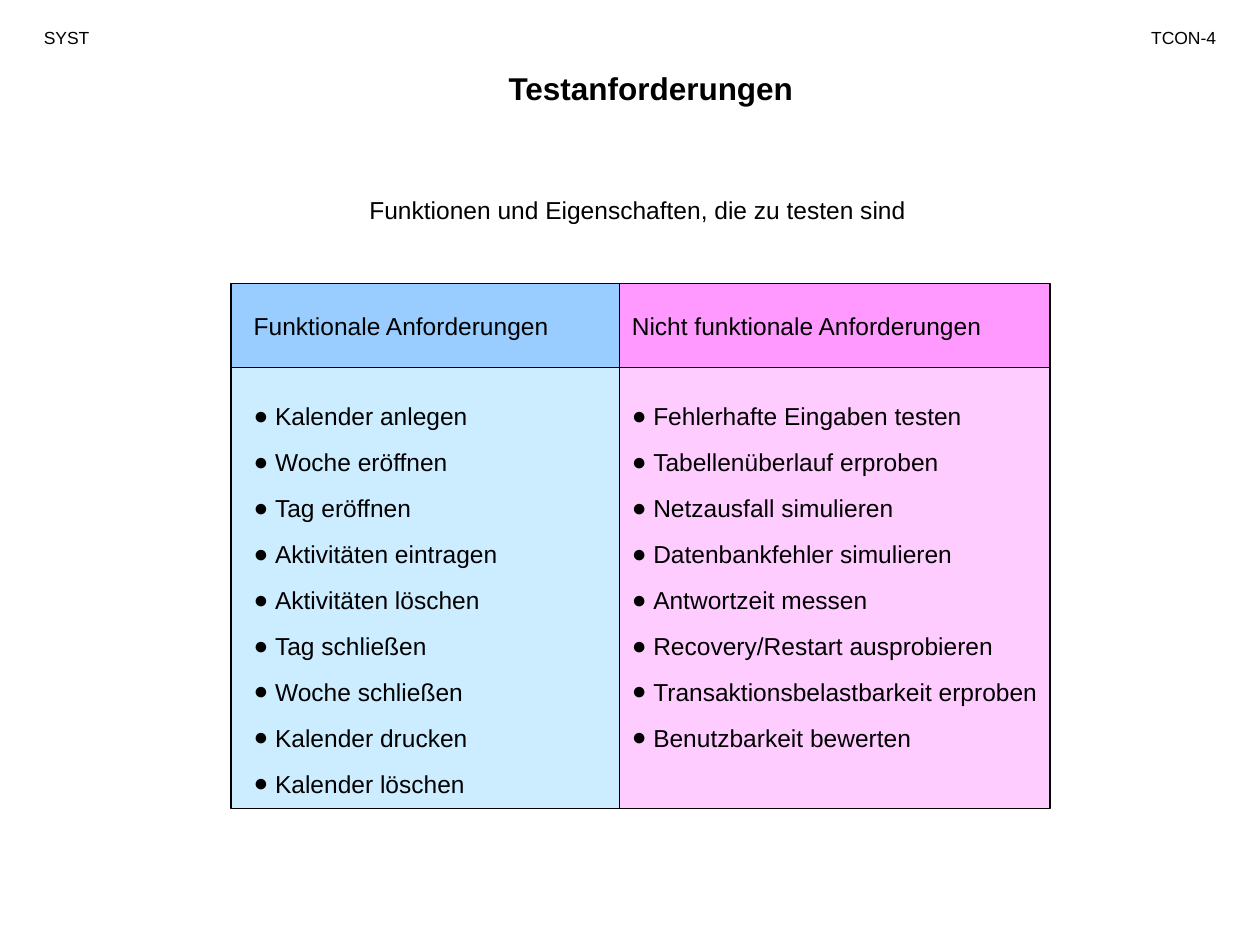
from lxml import etree
from pptx import Presentation
from pptx import util as u
from pptx.dml.color import RGBColor
from pptx.enum import shapes, text
from pptx.oxml.ns import qn

WIDTH, HEIGHT = u.Inches(10), u.Inches(7.5)
COLUMNS, ROWS = 120, 90
FONT = "Arial"
BLACK = RGBColor(0x00, 0x00, 0x00)
BLUE, PALE_BLUE = RGBColor(0x99, 0xCC, 0xFF), RGBColor(0xCC, 0xEC, 0xFF)
PINK, PALE_PINK = RGBColor(0xFF, 0x99, 0xFF), RGBColor(0xFF, 0xCC, 0xFF)
HEADER_ROWS = 8

FUNCTIONAL = [
    "Kalender anlegen", "Woche eröffnen", "Tag eröffnen",
    "Aktivitäten eintragen", "Aktivitäten löschen", "Tag schließen",
    "Woche schließen", "Kalender drucken", "Kalender löschen",
]
NON_FUNCTIONAL = [
    "Fehlerhafte Eingaben testen", "Tabellenüberlauf erproben",
    "Netzausfall simulieren", "Datenbankfehler simulieren",
    "Antwortzeit messen", "Recovery/Restart ausprobieren",
    "Transaktionsbelastbarkeit erproben", "Benutzbarkeit bewerten",
]


def grid(left, top, width, height):
    """Turn columns and rows into slide lengths."""
    return (WIDTH * left // COLUMNS, HEIGHT * top // ROWS,
            WIDTH * width // COLUMNS, HEIGHT * height // ROWS)


def write(box, lines, size, align=text.PP_ALIGN.LEFT, bold=False):
    """Fill a box with formatted paragraphs."""
    frame = box.text_frame
    frame.word_wrap = True
    frame.auto_size = text.MSO_AUTO_SIZE.NONE
    frame.text = "\n".join(lines)
    for para in frame.paragraphs:
        para.alignment = align
        for span in para.runs:
            span.font.name, span.font.size = FONT, u.Pt(size)
            span.font.bold, span.font.color.rgb = bold, BLACK
    return frame


def add_bullets(frame):
    """Give each paragraph a hanging bullet and an even gap above."""
    for index, para in enumerate(frame.paragraphs):
        para.space_before = u.Pt(9.4 if index else 0)
        properties = para._p.get_or_add_pPr()
        properties.set("marL", str(u.Inches(0.17)))
        properties.set("indent", str(-u.Inches(0.17)))
        etree.SubElement(properties, qn("a:buFont")).set("typeface", FONT)
        etree.SubElement(properties, qn("a:buChar")).set("char", "●")


def add_title(page, area, words):
    """Place the slide title."""
    title = page.shapes.title
    title.left, title.top, title.width, title.height = grid(*area)
    frame = write(title, [words], 18, text.PP_ALIGN.CENTER, True)
    frame.vertical_anchor = text.MSO_ANCHOR.TOP


def add_label(page, area, words, size, align=text.PP_ALIGN.LEFT):
    """Place a single line of text."""
    write(page.shapes.add_textbox(*grid(*area)), [words], size, align)


def add_cell(page, area, lines, fill, inset):
    """Draw an outlined cell with text and return its frame."""
    cell = page.shapes.add_shape(shapes.MSO_SHAPE.RECTANGLE, *grid(*area))
    cell.shadow.inherit = False
    cell.fill.solid()
    cell.fill.fore_color.rgb = fill
    cell.line.color.rgb, cell.line.width = BLACK, u.Pt(0.75)
    frame = write(cell, lines, 14)
    frame.margin_left, frame.margin_right = u.Inches(inset), u.Inches(0.05)
    frame.vertical_anchor = text.MSO_ANCHOR.MIDDLE
    return frame


def add_requirements(page, area, heading, items, fills, inset):
    """Build a headed column of requirements."""
    left, top, width, height = area
    body = (left, top + HEADER_ROWS, width, height - HEADER_ROWS)
    frame = add_cell(page, body, items, fills[1], inset)
    frame.vertical_anchor = text.MSO_ANCHOR.TOP
    frame.margin_top = u.Inches(0.27)
    add_bullets(frame)
    add_cell(page, (left, top, width, HEADER_ROWS), [heading], fills[0], inset)


def main():
    """Build and save the deck."""
    deck = Presentation()
    deck.slide_width, deck.slide_height = WIDTH, HEIGHT
    page = deck.slides.add_slide(deck.slide_layouts.get_by_name("Title Only"))
    add_title(page, (26, 6, 72, 5), "Testanforderungen")
    add_label(page, (3, 2, 11, 3), "SYST", 10)
    add_label(page, (106, 2, 11, 3), "TCON-4", 10, text.PP_ALIGN.RIGHT)
    add_label(page, (34, 18, 54, 4),
              "Funktionen und Eigenschaften, die zu testen sind", 14)
    add_requirements(page, (59, 27, 41, 50), "Nicht funktionale Anforderungen",
                     NON_FUNCTIONAL, (PINK, PALE_PINK), 0.1)
    add_requirements(page, (22, 27, 37, 50), "Funktionale Anforderungen",
                     FUNCTIONAL, (BLUE, PALE_BLUE), 0.18)
    deck.save("out.pptx")


if __name__ == "__main__":
    main()
